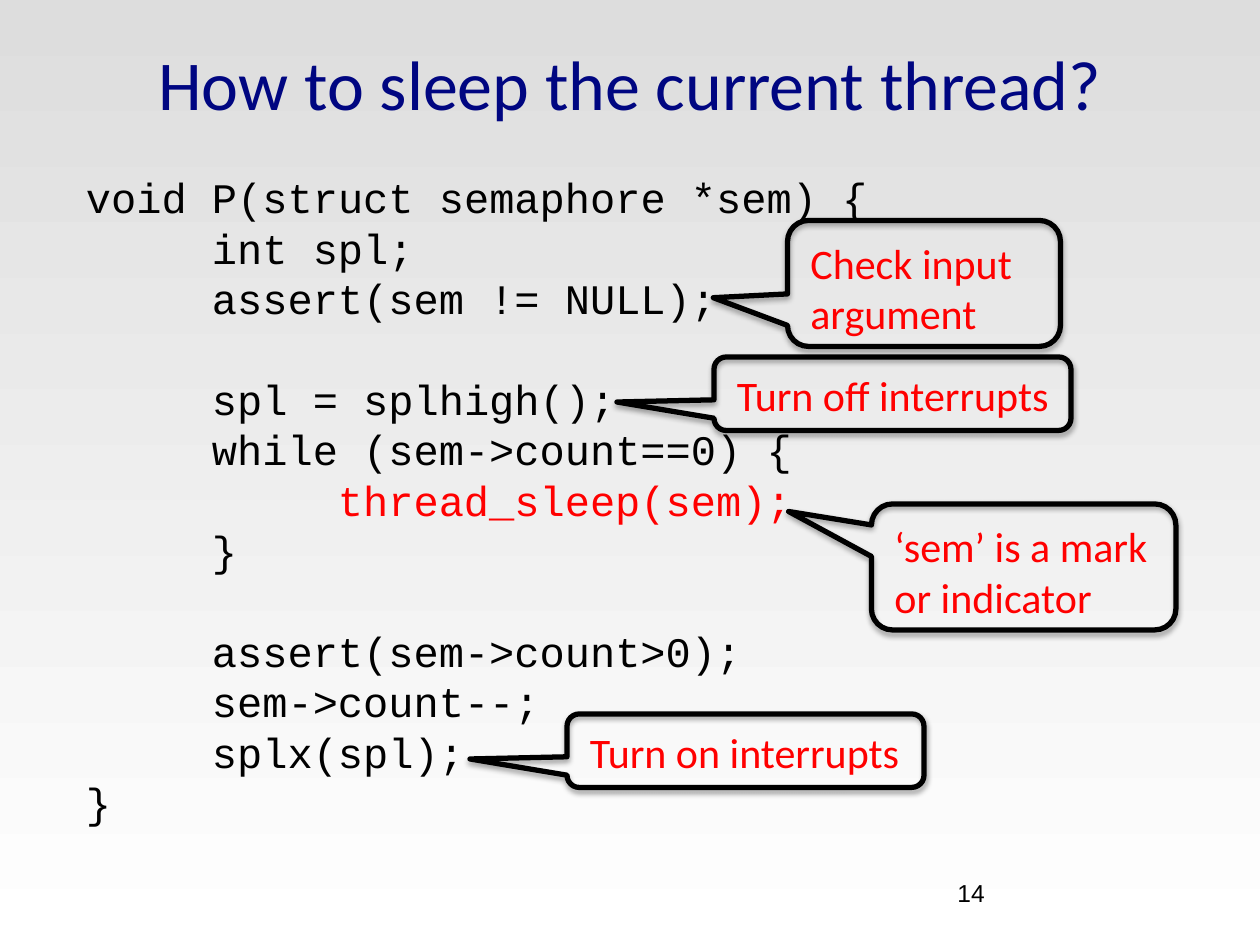
from pptx import Presentation
from pptx.dml.color import RGBColor
from pptx.enum.shapes import MSO_SHAPE
from pptx.enum.text import MSO_ANCHOR, PP_ALIGN
from pptx.oxml.xmlchemy import OxmlElement
from pptx.util import Inches, Pt

CALLOUT = MSO_SHAPE.ROUNDED_RECTANGULAR_CALLOUT
TOP, MIDDLE = MSO_ANCHOR.TOP, MSO_ANCHOR.MIDDLE
LEFT, CENTER = PP_ALIGN.LEFT, PP_ALIGN.CENTER

# Content
TITLE = "How to sleep the current thread?"
PAGE_NUMBER = "14"
HIGHLIGHT = "thread_sleep(sem);"
CODE_BLOCKS = [
    ["void P(struct semaphore *sem) {", "\tint spl;", "\tassert(sem != NULL);"],
    ["\tspl = splhigh();", "\twhile (sem->count==0) {", "\t\t" + HIGHLIGHT, "\t}"],
    ["\tassert(sem->count>0);", "\tsem->count--;", "\tsplx(spl);", "}"],
]
# text, lines, column, row, columns wide, rows high, height of the pointer's tip
NOTES = [
    ("‘sem’ is a mark or indicator", 2, 83, 48, 29, 12, -0.44),
    ("Check input argument", 2, 75, 21, 26, 12, 0.113),
    ("Turn off interrupts", 1, 68, 34, 34, 7, 0.113),
    ("Turn on interrupts", 1, 54, 68, 34, 7, 0.113),
]

THEME = {
    "title": dict(font="Calibri", size=40, color="000681"),
    "code": dict(font="Courier New", size=24, color="000000"),
    "note": dict(font="Calibri", size=24, color="FF0000"),
    "page": dict(font="Arial", size=14, color="000000"),
    "highlight": "FF0000",
    "outline": "000000",
    "background": ("DDDDDD", "FFFFFF"),
}
CELL = 1 / 12  # inches; the grid has 120 columns and 90 rows
TIP_X, CORNER = -0.772, 0.167
CODE_PITCH = 28.8
TAB_STOPS = (1, 2)  # inches

prs = Presentation()
prs.slide_width, prs.slide_height = Inches(120 * CELL), Inches(90 * CELL)
slide = prs.slides.add_slide(prs.slide_layouts[6])


def grid(*cells):
    return [Inches(cell * CELL) for cell in cells]


def add_element(parent, tag, **attributes):
    element = OxmlElement(tag)
    for key, value in attributes.items():
        element.set(key, str(value))
    parent.append(element)
    return element


def add_run(paragraph, text, font, size, color):
    run = paragraph.add_run()
    run.text = text
    run.font.name, run.font.size = font, Pt(size)
    run.font.color.rgb = RGBColor.from_string(color)


def add_text(text, cells, font, size, color, align=LEFT, anchor=TOP):
    """Add a text box on the grid; empty text leaves its paragraph unfilled."""
    frame = slide.shapes.add_textbox(*grid(*cells)).text_frame
    frame.word_wrap, frame.vertical_anchor = True, anchor
    frame.paragraphs[0].alignment = align
    if text:
        add_run(frame.paragraphs[0], text, font, size, color)
    return frame


def add_shadow(shape):
    effects = add_element(shape.element.spPr, "a:effectLst")
    shadow = add_element(effects, "a:outerShdw", blurRad=40000, dist=23000,
                         dir=5400000, rotWithShape=0)
    color = add_element(shadow, "a:srgbClr", val=THEME["outline"])
    add_element(color, "a:alpha", val=35000)


def add_tab_stops(paragraph):
    stops = add_element(paragraph._p.get_or_add_pPr(), "a:tabLst")
    for stop in TAB_STOPS:
        add_element(stops, "a:tab", pos=Inches(stop), algn="l")


def add_note(text, lines, column, row, columns, rows, tip_y):
    callout = slide.shapes.add_shape(CALLOUT, *grid(column, row, columns, rows))
    for index, value in enumerate((TIP_X, tip_y, CORNER)):
        callout.adjustments[index] = value
    callout.fill.background()
    callout.line.color.rgb = RGBColor.from_string(THEME["outline"])
    callout.line.width = Pt(3)
    add_shadow(callout)
    inset = 0.2 + 0.4 * lines
    add_text(text, (column + 1, row + inset, columns - 1, 2 + 4 * lines), **THEME["note"])


# Background
background = slide.background.fill
background.gradient()
background.gradient_angle = 270
for stop, shade in zip(background.gradient_stops, THEME["background"]):
    stop.color.rgb = RGBColor.from_string(shade)

# Title and page number
add_text(TITLE, (6, 0, 108, 15.7), align=CENTER, anchor=MIDDLE, **THEME["title"])
add_text(PAGE_NUMBER, (90, 83, 16, 6.25), **THEME["page"])

# Code: one paragraph a line, one line's gap between blocks
code = add_text("", (7, 15.75, 110, 64.2), **THEME["code"])
for block_index, block in enumerate(CODE_BLOCKS):
    for line_index, line in enumerate(block):
        first = block_index == line_index == 0
        paragraph = code.paragraphs[0] if first else code.add_paragraph()
        paragraph.line_spacing = Pt(CODE_PITCH)
        if block_index and not line_index:
            paragraph.space_before = Pt(CODE_PITCH)
        add_tab_stops(paragraph)
        indent, marked, _ = line.partition(HIGHLIGHT)
        add_run(paragraph, indent, **THEME["code"])
        if marked:
            add_run(paragraph, marked, **{**THEME["code"], "color": THEME["highlight"]})

# Notes pointing at the code
for note in NOTES:
    add_note(*note)

prs.save("out.pptx")
